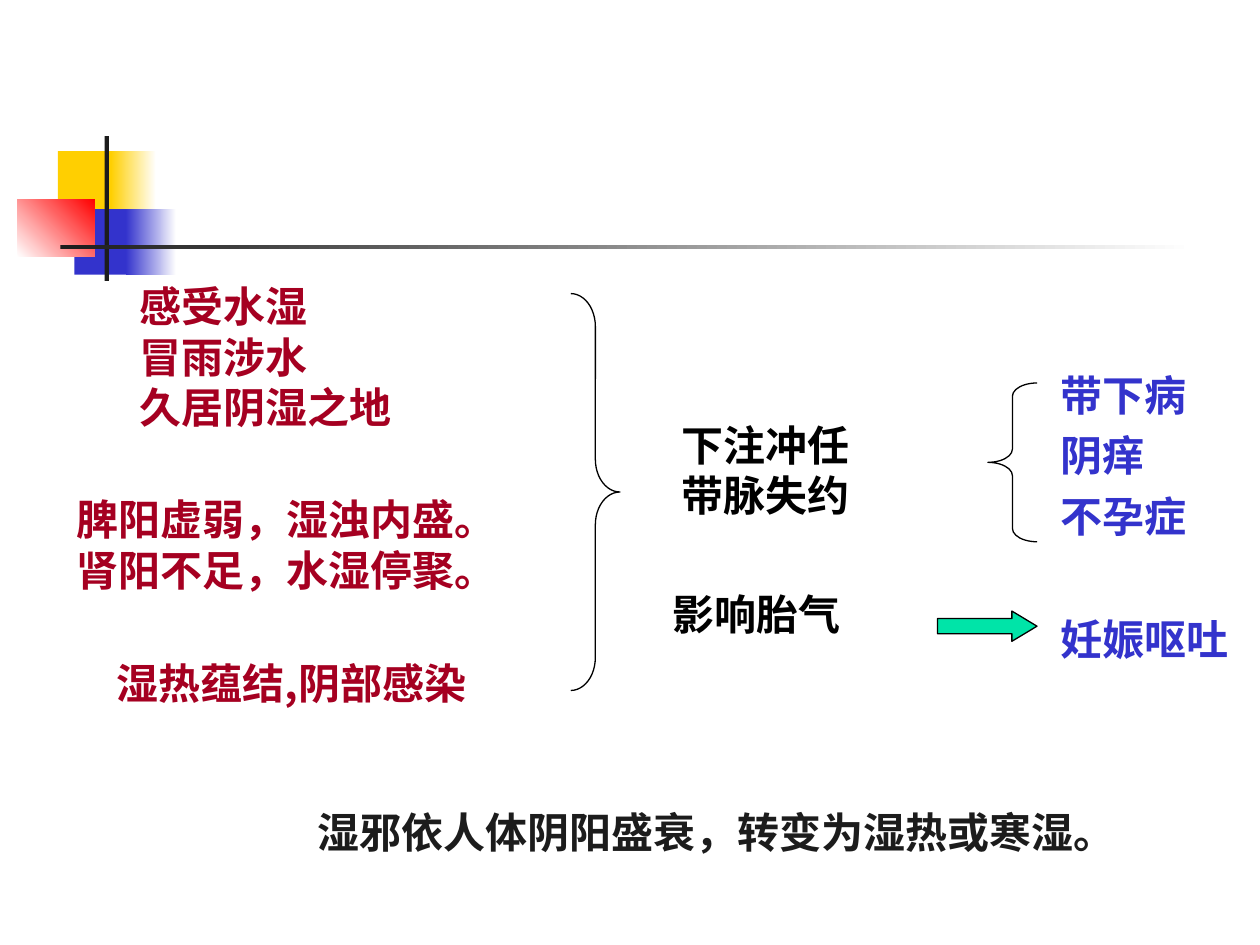
from dataclasses import dataclass

from pptx import Presentation
from pptx import util as u
from pptx.dml.color import RGBColor
from pptx.enum import shapes, text
from pptx.oxml.ns import qn
from lxml import etree


@dataclass(frozen=True)
class Theme:
    yellow: str = "FFCF01"
    blue: str = "3333CC"
    red: str = "FF0000"
    ink: str = "1C1C1C"
    white: str = "FFFFFF"
    black: str = "000000"
    cause: str = "A50021"
    arrow: str = "00E4A8"
    latin: str = "Lato"
    chinese: str = "Noto Sans CJK SC"
    size: float = 24
    line: float = 0.75
    gap: float = 6
    wide_gap: float = 41


@dataclass(frozen=True)
class Frame:
    column: float
    row: float
    columns: float
    rows: float


@dataclass(frozen=True)
class Block:
    frame: Frame
    fill: str
    fade: str | None = None
    angle: float = 0


@dataclass(frozen=True)
class Symbol:
    kind: shapes.MSO_SHAPE
    frame: Frame
    adjustments: tuple[float, float]
    fill: str | None = None


@dataclass(frozen=True)
class Note:
    frame: Frame
    lines: tuple[str, ...]
    color: str
    font: str
    gaps: tuple[float, ...] = ()
    indent: float = 0.1
    anchor: text.MSO_ANCHOR = text.MSO_ANCHOR.TOP


THEME = Theme()
COLUMNS, ROWS = 100, 75

BLOCKS = [
    Block(Frame(4.6, 12, 4.8, 5.2), THEME.yellow),
    Block(Frame(8.8, 12, 3.6, 5.2), THEME.yellow, THEME.white),
    Block(Frame(5.9, 16.6, 4.6, 5.2), THEME.blue),
    Block(Frame(10, 16.6, 4, 5.2), THEME.blue, THEME.white),
    Block(Frame(1.4, 15.8, 6.1, 4.6), THEME.white, THEME.red, 45),
    Block(Frame(8.3, 10.8, 0.35, 11.5), THEME.ink),
    Block(Frame(4.8, 19.45, 90, 0.35), THEME.ink, THEME.white),
]

NOTES = [
    Note(Frame(3.5, 36.7, 37.8, 11), ("脾阳虚弱，湿浊内盛。", "肾阳不足，水湿停聚。"),
         THEME.cause, THEME.chinese, indent=0.26, anchor=text.MSO_ANCHOR.BOTTOM),
    Note(Frame(83.2, 28.8, 16, 24.4), ("带下病", "阴痒", "不孕症", "妊娠呕吐"),
         THEME.blue, THEME.chinese,
         gaps=(THEME.gap, THEME.gap, THEME.gap, THEME.wide_gap)),
    Note(Frame(24.2, 63.5, 66, 5), ("湿邪依人体阴阳盛衰，转变为湿热或寒湿。",),
         THEME.ink, THEME.chinese),
    Note(Frame(8.3, 51.7, 34.6, 8.4), ("湿热蕴结,阴部感染",), THEME.cause, THEME.chinese),
    Note(Frame(10.1, 21.8, 23.2, 16.4), ("感受水湿", "冒雨涉水", "久居阴湿之地"),
         THEME.cause, THEME.latin),
    Note(Frame(53.1, 32.8, 20.5, 9), ("下注冲任", "带脉失约"), THEME.black, THEME.latin),
    Note(Frame(52.4, 46.2, 24.7, 5), ("影响胎气",), THEME.black, THEME.latin),
]

SYMBOLS = [
    Symbol(shapes.MSO_SHAPE.RIGHT_BRACE, Frame(45.3, 23.3, 3.9, 31.5), (0.67, 0.5)),
    Symbol(shapes.MSO_SHAPE.LEFT_BRACE, Frame(78.4, 30.4, 3.9, 12.6), (0.27, 0.5)),
    Symbol(shapes.MSO_SHAPE.RIGHT_ARROW, Frame(74.4, 48.5, 7.9, 2.4), (0.5, 0.83),
           THEME.arrow),
]


def place(presentation, frame: Frame) -> tuple[int, int, int, int]:
    column_width = presentation.slide_width / COLUMNS
    row_height = presentation.slide_height / ROWS
    return (round(frame.column * column_width), round(frame.row * row_height),
            round(frame.columns * column_width), round(frame.rows * row_height))


def paint(fill, color: str | None) -> None:
    if color is None:
        fill.background()
    else:
        fill.solid()
        fill.fore_color.rgb = RGBColor.from_string(color)


def draw_block(presentation, slide, block: Block) -> None:
    shape = slide.shapes.add_shape(shapes.MSO_SHAPE.RECTANGLE,
                                   *place(presentation, block.frame))
    shape.shadow.inherit = False
    shape.line.fill.background()
    if block.fade is None:
        paint(shape.fill, block.fill)
        return
    shape.fill.gradient()
    shape.fill.gradient_angle = block.angle
    for stop, color in zip(shape.fill.gradient_stops, (block.fill, block.fade)):
        stop.color.rgb = RGBColor.from_string(color)


def draw_symbol(presentation, slide, symbol: Symbol) -> None:
    shape = slide.shapes.add_shape(symbol.kind, *place(presentation, symbol.frame))
    shape.shadow.inherit = False
    for index, value in enumerate(symbol.adjustments):
        shape.adjustments[index] = value
    paint(shape.fill, symbol.fill)
    paint(shape.line.fill, THEME.black)
    shape.line.width = u.Pt(THEME.line)


def write(paragraph, content: str, *, font: str, color: str, gap: float = 0) -> None:
    paragraph.space_before = u.Pt(gap)
    run = paragraph.add_run()
    run.text = content
    run.font.name = font
    run.font.size = u.Pt(THEME.size)
    run.font.bold = True
    run.font.color.rgb = RGBColor.from_string(color)
    east_asian = etree.SubElement(run.font._element, qn("a:ea"))
    east_asian.set("typeface", THEME.chinese)


def draw_note(presentation, slide, note: Note) -> None:
    frame = slide.shapes.add_textbox(*place(presentation, note.frame)).text_frame
    frame.word_wrap = True
    frame.vertical_anchor = note.anchor
    frame.margin_left = u.Inches(note.indent)
    gaps = note.gaps or (0,) * len(note.lines)
    for index, (content, gap) in enumerate(zip(note.lines, gaps)):
        paragraph = frame.add_paragraph() if index else frame.paragraphs[0]
        write(paragraph, content, font=note.font, color=note.color, gap=gap)


def main() -> None:
    presentation = Presentation()
    presentation.slide_width = u.Inches(10)
    presentation.slide_height = u.Inches(7.5)
    slide = presentation.slides.add_slide(presentation.slide_layouts[6])
    paint(slide.background.fill, THEME.white)
    for block in BLOCKS:
        draw_block(presentation, slide, block)
    for note in NOTES:
        draw_note(presentation, slide, note)
    for symbol in SYMBOLS:
        draw_symbol(presentation, slide, symbol)
    presentation.save("out.pptx")


if __name__ == "__main__":
    main()
